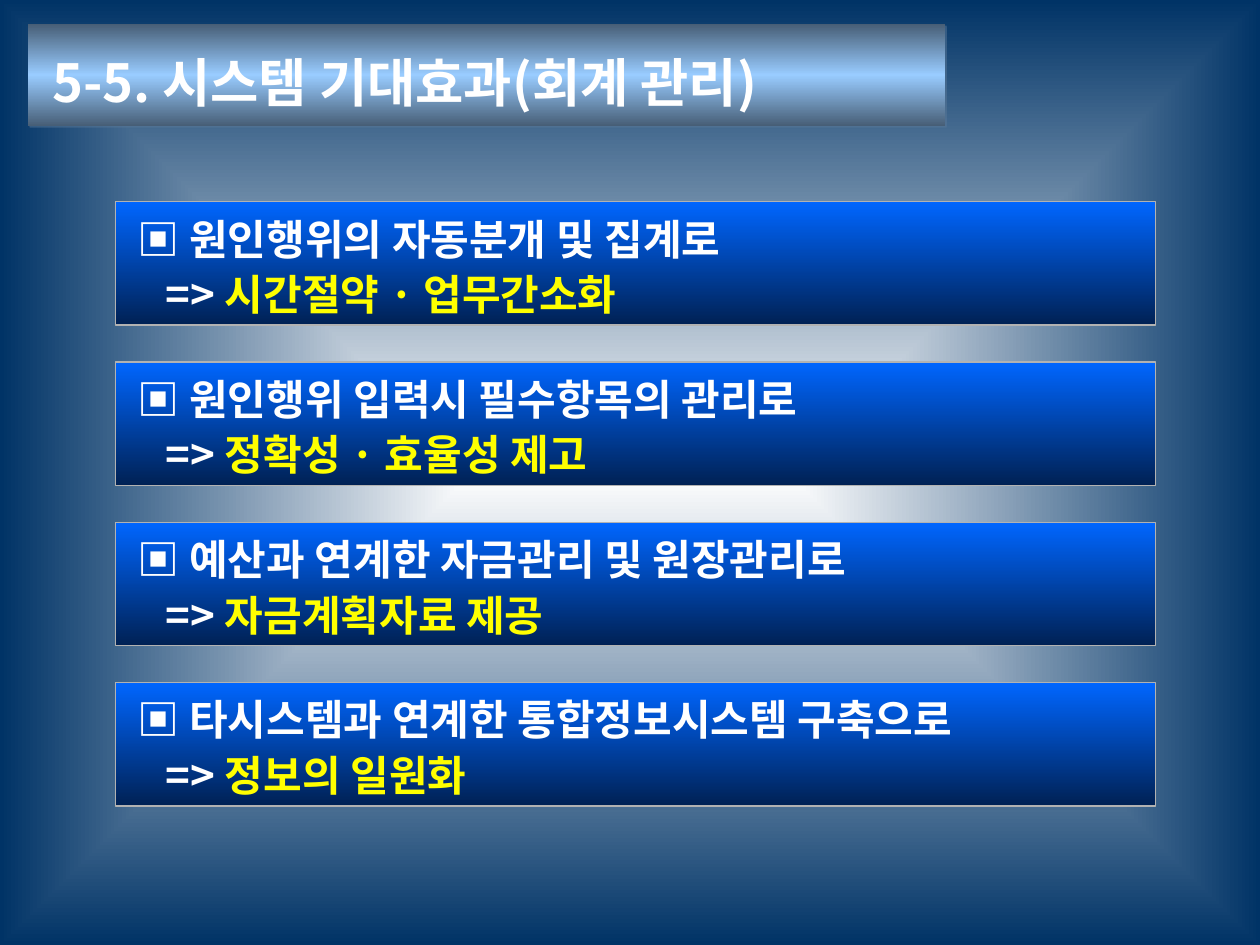
from lxml.etree import SubElement
from pptx import Presentation
from pptx.dml.color import RGBColor
from pptx.enum.shapes import MSO_SHAPE as Shape
from pptx.enum.text import MSO_ANCHOR as Anchor, PP_ALIGN as Align
from pptx.oxml.ns import qn
from pptx.util import Pt
from copy import deepcopy

FONT = "Noto Sans CJK KR"
WHITE = RGBColor(0xFF, 0xFF, 0xFF)
NAVY = RGBColor(0x00, 0x33, 0x66)
STEEL = RGBColor(0x47, 0x5E, 0x76)
SKY = RGBColor(0x99, 0xCC, 0xFF)
BLUE = RGBColor(0x00, 0x66, 0xFF)
DEEP_BLUE = RGBColor(0x00, 0x21, 0x54)
GREY = RGBColor(0xB2, 0xB2, 0xB2)
YELLOW = RGBColor(0xFF, 0xFF, 0x00)
SHADOW = RGBColor(0x5B, 0x79, 0x98)

BENEFITS = [
    ("원인행위의 자동분개 및 집계로", "시간절약 · 업무간소화"),
    ("원인행위 입력시 필수항목의 관리로", "정확성 · 효율성 제고"),
    ("예산과 연계한 자금관리 및 원장관리로", "자금계획자료 제공"),
    ("타시스템과 연계한 통합정보시스템 구축으로", "정보의 일원화"),
]


def add_panel(page, left, top, width, height, colors):
    panel = page.shapes.add_shape(Shape.RECTANGLE, Pt(left), Pt(top), Pt(width), Pt(height))
    panel.shadow.inherit = False
    panel.fill.gradient()
    panel.fill.gradient_angle = 270
    stop_list = next(panel._element.iter(qn("a:gsLst")))
    while len(stop_list) < len(colors):
        stop_list.append(deepcopy(stop_list[-1]))
    for index, (stop, color) in enumerate(zip(panel.fill.gradient_stops, colors)):
        stop.position = index / (len(colors) - 1)
        stop.color.rgb = color
    panel.text_frame.word_wrap = True
    panel.text_frame.vertical_anchor = Anchor.MIDDLE
    return panel


def style_paragraph(para, size, spacing, indent):
    para.alignment = Align.LEFT
    para.line_spacing = spacing
    para.font.name = FONT
    para.font.size = Pt(size)
    para.font.bold = True
    para.font.color.rgb = WHITE
    properties = para._p.get_or_add_pPr()
    properties.set("marL", str(Pt(indent)))
    SubElement(properties.find(qn("a:defRPr")), qn("a:ea"), typeface=FONT)


deck = Presentation()
deck.slide_width, deck.slide_height = Pt(720), Pt(540)
page = deck.slides.add_slide(deck.slide_layouts[6])

backdrop = page.background.fill
backdrop.gradient()
for stop, color in zip(backdrop.gradient_stops, (WHITE, NAVY)):
    stop.color.rgb = color
gradient = next(page._element.iter(qn("a:gradFill")))
gradient.remove(gradient.find(qn("a:lin")))
path = SubElement(gradient, qn("a:path"), path="rect")
SubElement(path, qn("a:fillToRect"), l="50000", t="50000", r="50000", b="50000")

title = add_panel(page, 16, 13.7, 524, 58.3, (STEEL, SKY, STEEL))
title.line.fill.background()
effects = title._element.spPr.find(qn("a:effectLst"))
shadow = SubElement(effects, qn("a:outerShdw"), dist=str(Pt(1.4)), dir="2700000", algn="ctr", rotWithShape="0")
shadow_color = SubElement(shadow, qn("a:srgbClr"), val=str(SHADOW))
SubElement(shadow_color, qn("a:alpha"), val="50000")
para = title.text_frame.paragraphs[0]
para.add_run().text = "5-5. 시스템 기대효과(회계 관리)"
style_paragraph(para, 30, 1.2, 6.7)

for row, (cause, benefit) in enumerate(BENEFITS):
    box = add_panel(page, 66.2, 115.2 + row * 91.6, 594, 70.6, (BLUE, DEEP_BLUE))
    box.line.color.rgb = GREY
    box.line.width = Pt(0.75)
    para = box.text_frame.paragraphs[0]
    para.add_run().text = f"▣ {cause}"
    style_paragraph(para, 24, 1.1, 5.4)
    para = box.text_frame.add_paragraph()
    para.add_run().text = "=> "
    span = para.add_run()
    span.text = benefit
    span.font.color.rgb = YELLOW
    style_paragraph(para, 24, 1.1, 21.5)

deck.save("out.pptx")
